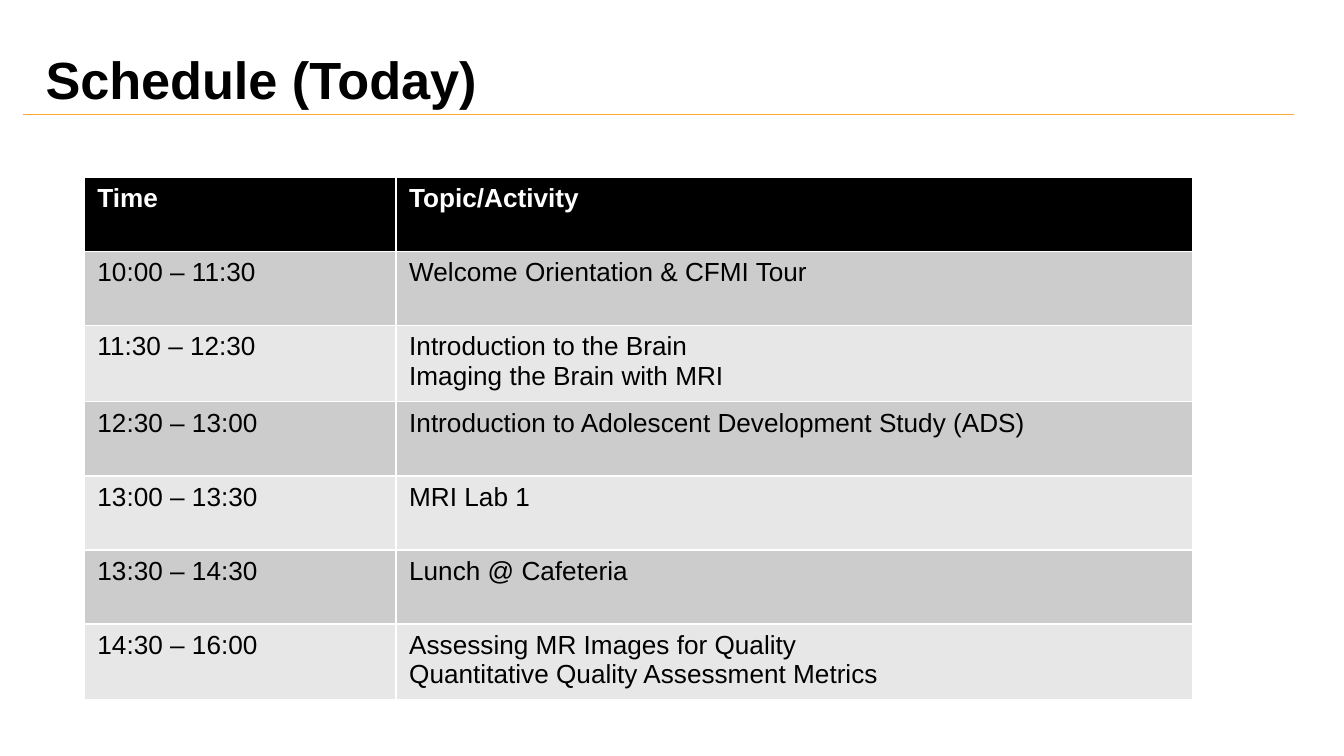
from pptx import Presentation
from pptx.dml.color import RGBColor
from pptx.enum import shapes, text
from pptx.oxml.ns import qn
from pptx.util import Pt

TITLE = "Schedule (Today)"
ROWS = [
    ("Time", "Topic/Activity"),
    ("10:00 – 11:30", "Welcome Orientation & CFMI Tour"),
    ("11:30 – 12:30", "Introduction to the Brain\nImaging the Brain with MRI"),
    ("12:30 – 13:00", "Introduction to Adolescent Development Study (ADS)"),
    ("13:00 – 13:30", "MRI Lab 1"),
    ("13:30 – 14:30", "Lunch @ Cafeteria"),
    ("14:30 – 16:00", "Assessing MR Images for Quality\n"
                      "Quantitative Quality Assessment Metrics"),
]
COLS = (167, 427)
ROW_H = 39.7
BANDS = ("E7E7E7", "CCCCCC")


def color(code):
    return RGBColor.from_string(code)


def style(frame, size, ink, bold):
    for para in frame.paragraphs:
        font = para.font
        font.name, font.size, font.bold = "Arial", Pt(size), bold
        font.color.rgb = color(ink)


deck = Presentation()
deck.slide_width, deck.slide_height = Pt(720), Pt(405)
slide = deck.slides.add_slide(deck.slide_layouts[6])

# Title
box = slide.shapes.add_textbox(Pt(17.3), Pt(16.6), Pt(671), Pt(45.4))
frame = box.text_frame
frame.word_wrap = True
frame.vertical_anchor = text.MSO_ANCHOR.BOTTOM
frame.margin_left = frame.margin_right = Pt(7.2)
frame.margin_bottom = Pt(3.2)
frame.text = TITLE
style(frame, 28, "000000", True)

# Rule under the title
rule = slide.shapes.add_connector(
    shapes.MSO_CONNECTOR.STRAIGHT, Pt(12.3), Pt(61.5), Pt(693.3), Pt(61.5))
rule.line.color.rgb = color("FEA83A")
rule.line.width = Pt(0.75)
props = rule._element.spPr
props.append(props.makeelement(qn("a:effectLst"), {}))

# Schedule table; its default style draws the white cell borders
table = slide.shapes.add_table(
    len(ROWS), len(COLS), Pt(45), Pt(95),
    Pt(sum(COLS)), Pt(ROW_H * len(ROWS))).table
for col, width in zip(table.columns, COLS):
    col.width = Pt(width)
for r, row in enumerate(ROWS):
    table.rows[r].height = Pt(ROW_H)
    head = r == 0
    for c, words in enumerate(row):
        cell = table.cell(r, c)
        cell.text = words
        cell.fill.solid()
        cell.fill.fore_color.rgb = color("000000" if head else BANDS[r % 2])
        style(cell.text_frame, 14, "FFFFFF" if head else "000000", head)

deck.save("out.pptx")
